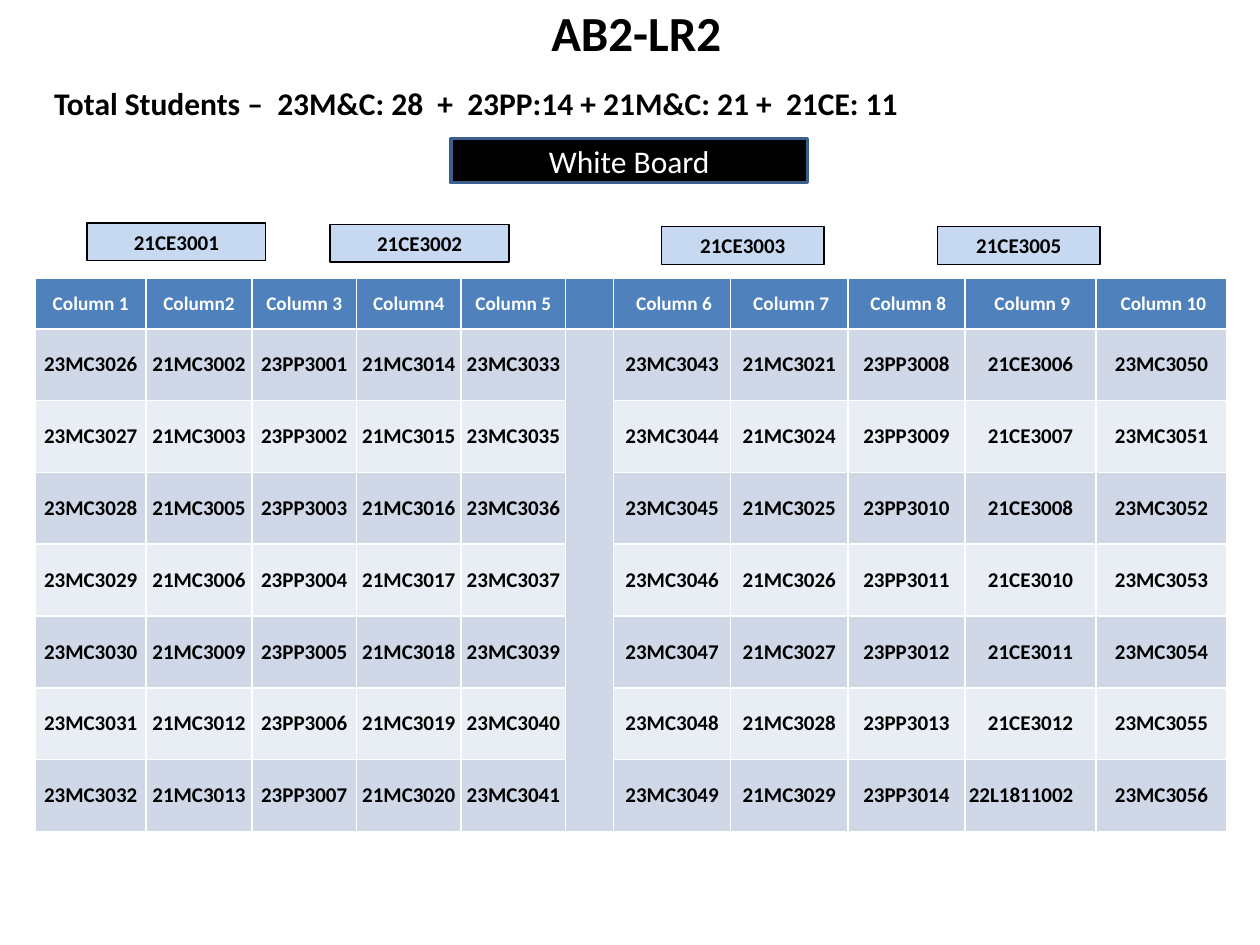
"""Build the AB2-LR2 exam seating plan slide."""
from pptx import Presentation
from pptx.dml.color import RGBColor
from pptx.enum.shapes import MSO_SHAPE
from pptx.enum.text import MSO_ANCHOR, MSO_AUTO_SIZE, PP_ALIGN
from pptx.util import Inches, Pt

RECTANGLE = MSO_SHAPE.RECTANGLE
TOP, MIDDLE = MSO_ANCHOR.TOP, MSO_ANCHOR.MIDDLE
LEFT, CENTER = PP_ALIGN.LEFT, PP_ALIGN.CENTER
NO_FIT = MSO_AUTO_SIZE.NONE

BLACK = RGBColor(0x00, 0x00, 0x00)
WHITE = RGBColor(0xFF, 0xFF, 0xFF)
BOARD_LINE = RGBColor(0x3A, 0x5F, 0x8C)
SEAT_FILL = RGBColor(0xC6, 0xD9, 0xF1)
HEADER_FILL = RGBColor(0x4F, 0x81, 0xBD)
BANDS = (RGBColor(0xD0, 0xD8, 0xE8), RGBColor(0xE9, 0xED, 0xF4))

TITLE = "AB2-LR2"
TOTALS = "Total Students –  23M&C: 28  +  23PP:14 + 21M&C: 21 +  21CE: 11"
BOARD = "White Board"
FRONT_SEATS = [
    ("21CE3001", 0.69, 1.77, 1.42),
    ("21CE3002", 2.62, 1.78, 1.42),
    ("21CE3003", 5.25, 1.8, 1.29),
    ("21CE3005", 7.44, 1.8, 1.29),
]
AISLE = 5
SEAT_COLUMNS = [
    ("Column 1", 0.88, "23MC", [3026, 3027, 3028, 3029, 3030, 3031, 3032]),
    ("Column2", 0.84, "21MC", [3002, 3003, 3005, 3006, 3009, 3012, 3013]),
    ("Column 3", 0.83, "23PP", [3001, 3002, 3003, 3004, 3005, 3006, 3007]),
    ("Column4", 0.83, "21MC", [3014, 3015, 3016, 3017, 3018, 3019, 3020]),
    ("Column 5", 0.83, "23MC", [3033, 3035, 3036, 3037, 3039, 3040, 3041]),
    ("", 0.38, "", []),
    ("Column 6", 0.93, "23MC", [3043, 3044, 3045, 3046, 3047, 3048, 3049]),
    ("Column 7", 0.93, "21MC", [3021, 3024, 3025, 3026, 3027, 3028, 3029]),
    ("Column 8", 0.93, "23PP", [3008, 3009, 3010, 3011, 3012, 3013, 3014]),
    ("Column 9", 1.04, "21CE", [3006, 3007, 3008, 3010, 3011, 3012, "22L1811002"]),
    ("Column 10", 1.04, "23MC", [3050, 3051, 3052, 3053, 3054, 3055, 3056]),
]
SEAT_ROWS = 7
HEADER_HEIGHT, ROW_HEIGHT = 0.39, 0.57


def apply(target, values):
    for name, value in values.items():
        setattr(target, name, value)


def write(text_frame, text, size, color=BLACK, bold=True, align=CENTER):
    paragraph = text_frame.paragraphs[0]
    paragraph.alignment = align
    run = paragraph.add_run()
    run.text = text
    apply(run.font, {"name": "Calibri", "size": Pt(size), "bold": bold})
    run.font.color.rgb = color


def place(shape, left, top, width, height):
    apply(shape, {"left": Inches(left), "top": Inches(top),
                  "width": Inches(width), "height": Inches(height)})


def add_box(slide, area, fill, line, line_width):
    box = slide.shapes.add_shape(RECTANGLE, *map(Inches, area))
    box.shadow.inherit = False
    box.fill.solid()
    box.fill.fore_color.rgb = fill
    box.line.color.rgb = line
    box.line.width = Pt(line_width)
    box.text_frame.word_wrap = True
    return box


def fill_cell(cell, fill):
    cell.fill.solid()
    cell.fill.fore_color.rgb = fill
    cell.vertical_anchor = MIDDLE


def add_seating(slide):
    width = sum(column[1] for column in SEAT_COLUMNS)
    height = HEADER_HEIGHT + SEAT_ROWS * ROW_HEIGHT
    table = slide.shapes.add_table(
        SEAT_ROWS + 1, len(SEAT_COLUMNS),
        Inches(0.28), Inches(2.21), Inches(width), Inches(height)).table
    for index, row in enumerate(table.rows):
        row.height = Inches(ROW_HEIGHT if index else HEADER_HEIGHT)
    for index, (heading, width, prefix, numbers) in enumerate(SEAT_COLUMNS):
        table.columns[index].width = Inches(width)
        header = table.cell(0, index)
        fill_cell(header, HEADER_FILL)
        if heading:
            write(header.text_frame, heading, 11, WHITE)
        if index > AISLE:
            header.margin_left = Inches(0.13)
        for row, number in enumerate(numbers):
            cell = table.cell(row + 1, index)
            fill_cell(cell, BANDS[row % 2])
            apply(cell, {"margin_left": Inches(0.03), "margin_right": Inches(0.03),
                         "margin_top": 0, "margin_bottom": 0})
            if isinstance(number, str):
                write(cell.text_frame, number, 12, align=LEFT)
            else:
                write(cell.text_frame, f"{prefix}{number}", 12)
    aisle = table.cell(1, AISLE)
    aisle.merge(table.cell(SEAT_ROWS, AISLE))
    fill_cell(aisle, BANDS[0])


presentation = Presentation()
presentation.slide_width, presentation.slide_height = Inches(10), Inches(7.5)
slide = presentation.slides.add_slide(presentation.slide_layouts[5])

title = slide.shapes.title
place(title, 0.1, -0.03, 9.9, 0.57)
apply(title.text_frame, {"auto_size": NO_FIT, "vertical_anchor": TOP})
write(title.text_frame, TITLE, 28)

board = add_box(slide, (3.58, 1.1, 2.83, 0.35), BLACK, BOARD_LINE, 2)
board.text_frame.vertical_anchor = MIDDLE
write(board.text_frame, BOARD, 18, WHITE, bold=False)

totals = slide.shapes.add_textbox(*map(Inches, (0.28, 0.62, 7.24, 0.4)))
apply(totals.text_frame, {"word_wrap": True, "margin_left": Inches(0.15)})
write(totals.text_frame, TOTALS, 18, align=LEFT)

add_seating(slide)

for label, left, top, width in FRONT_SEATS:
    seat = add_box(slide, (left, top, width, 0.3), SEAT_FILL, BLACK, 0.75)
    seat.text_frame.vertical_anchor = TOP
    write(seat.text_frame, label, 12)

presentation.save("out.pptx")
